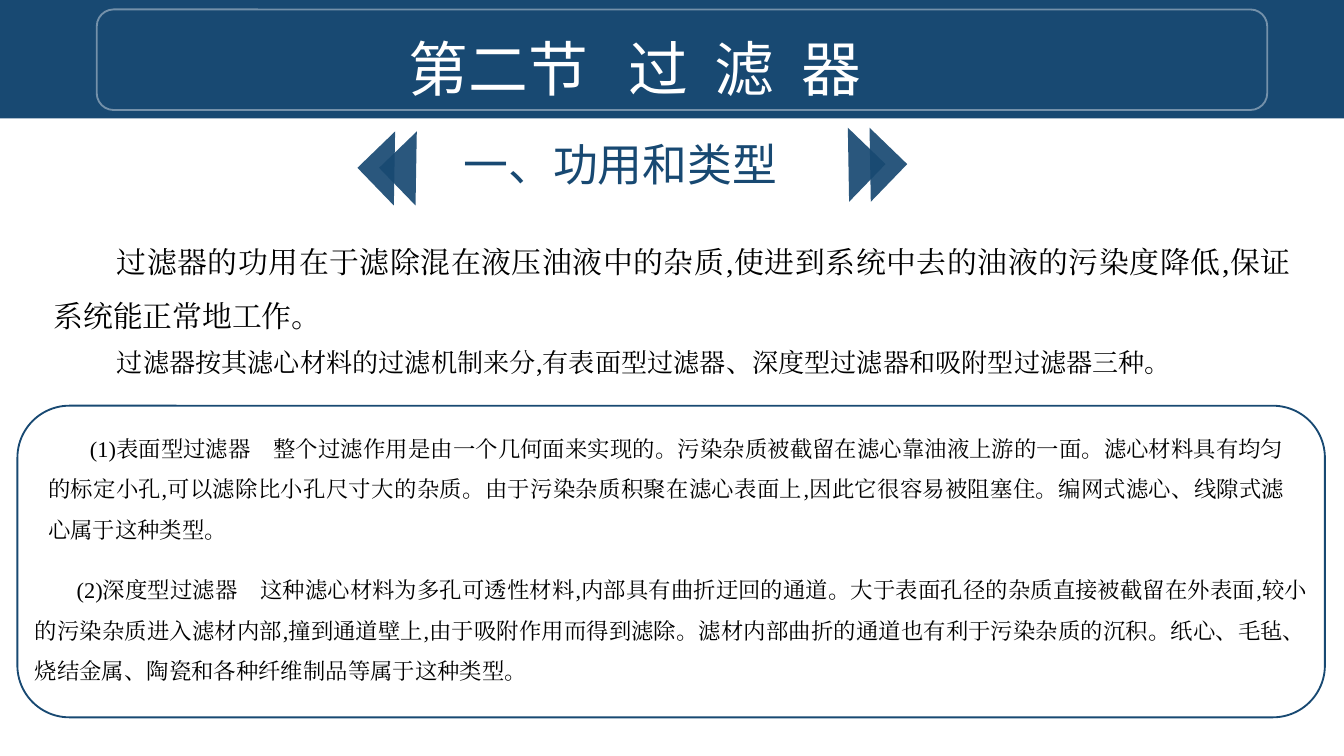
from dataclasses import dataclass

from lxml import etree
from pptx import Presentation
from pptx.dml.color import RGBColor as Rgb
from pptx.enum import shapes as es, text as et
from pptx.oxml import ns
from pptx.util import Cm, Pt

KIND = es.MSO_SHAPE
ALIGN = et.PP_ALIGN


@dataclass(frozen=True)
class Theme:
    """Colours, fonts and type sizes of the slide."""
    navy: Rgb = Rgb(0x18, 0x49, 0x72)
    white: Rgb = Rgb(0xFF, 0xFF, 0xFF)
    black: Rgb = Rgb(0, 0, 0)
    sans: str = "Noto Sans CJK SC"
    serif: str = "Times New Roman"
    title: int = 32
    head: int = 24
    lead: int = 16
    note: int = 14
    small: int = 12


THEME = Theme()


def place(item, box):
    """Move an item to a box given in centimetres."""
    item.left, item.top, item.width, item.height = map(Cm, box)


def fade(color, share):
    """Give a solid colour an opacity in percent."""
    tag = color._xFill[0]
    etree.SubElement(tag, ns.qn("a:alpha"), val=str(share * 1000))


def draw(slide, kind, box, fill=None, line=None):
    """Add a plain preset shape."""
    item = slide.shapes.add_shape(kind, *map(Cm, box))
    item.shadow.inherit = False
    if fill is None:
        item.fill.background()
    else:
        item.fill.solid()
        item.fill.fore_color.rgb = fill
    if line is None:
        item.line.fill.background()
    else:
        item.line.color.rgb = line
        item.line.width = Pt(1)
    return item


def write(item, words, size, face, color, align, indent=0, space=None, wrap=True):
    """Fill a text item with one formatted paragraph."""
    frame = item.text_frame
    frame.text = words
    frame.word_wrap = wrap
    frame.auto_size = et.MSO_AUTO_SIZE.NONE
    frame.vertical_anchor = et.MSO_ANCHOR.TOP
    para = frame.paragraphs[0]
    props = para._p.get_or_add_pPr()
    props.set("marL", "0")
    props.set("indent", str(Cm(indent)))
    etree.SubElement(props, ns.qn("a:buNone"))
    para.alignment = align
    para.space_before = Pt(0)
    para.line_spacing = space
    font = para.font
    font.size, font.name, font.color.rgb = Pt(size), face, color
    font._rPr.set("lang", "zh-CN")
    etree.SubElement(font._rPr, ns.qn("a:ea"), typeface=face)


def label(item, words, size, color):
    """Write a centred heading without vertical insets."""
    write(item, words, size, THEME.sans, color, ALIGN.CENTER)
    frame = item.text_frame
    frame.margin_top = frame.margin_bottom = 0
    frame.vertical_anchor = et.MSO_ANCHOR.MIDDLE


def note(slide, box, words, size, **style):
    """Add a text box in the serif face."""
    item = slide.shapes.add_textbox(*map(Cm, box))
    write(item, words, size, THEME.serif, THEME.black, **style)


def banner(slide, box, words):
    """Draw the title band with its rounded frame."""
    x, y, w, h = box
    draw(slide, KIND.RECTANGLE, box, fill=THEME.navy)
    rim = draw(slide, KIND.ROUNDED_RECTANGLE,
               (x + 1.83, y + 0.18, w - 3.28, h - 0.34), line=THEME.white)
    fade(rim.line.color, 40)
    title = slide.shapes.title
    title.element.getparent().append(title.element)
    place(title, (x + 1.4, y + 0.46, w - 4.19, h - 0.61))
    label(title, words, THEME.title, THEME.white)


def arrows(slide, x, y, turn, flips):
    """Draw a pair of overlapping triangles."""
    for step in range(2):
        item = draw(slide, KIND.RIGHT_TRIANGLE,
                    (x + step * 0.41, y, 0.99, 0.99), fill=THEME.navy)
        fade(item.fill.fore_color, 92)
        item.rotation = turn
        for flip in flips:
            item.element.spPr.xfrm.set(flip, "1")


def heading(slide, box, words):
    """Place the section heading between its arrows."""
    x, y, w, h = box
    item = slide.shapes.add_textbox(*map(Cm, box))
    label(item, words, THEME.head, THEME.navy)
    arrows(slide, x + 2.41, y + 0.23, 316, ["flipV"])
    arrows(slide, x + w - 3.36, y + 0.16, 44, ["flipH", "flipV"])


def intro(slide, box, lead, kinds):
    """Place the opening paragraph and the line on filter kinds."""
    x, y, w, h = box
    body = slide.placeholders[1]
    body.element.getparent().append(body.element)
    place(body, (x, y, w, 2.18))
    write(body, lead, THEME.lead, THEME.serif, THEME.black,
          ALIGN.JUSTIFY, indent=1.19, space=1.5)
    note(slide, (x + 0.64, y + h - 0.71, w - 2.72, 0.71), kinds, THEME.note,
         align=ALIGN.LEFT, indent=0.56, space=Pt(12), wrap=False)


def panel(slide, box, first, second):
    """Place two descriptions inside a rounded outline."""
    x, y, w, h = box
    style = dict(align=ALIGN.JUSTIFY, indent=0.79, space=1.5)
    note(slide, (x + 0.33, y + 0.18, w - 0.83, 2.49), first, THEME.small, **style)
    note(slide, (x + 0.08, y + 2.85, w - 0.17, 2.57), second, THEME.small, **style)
    draw(slide, KIND.ROUNDED_RECTANGLE, box, line=THEME.navy)


def main():
    """Build and save the slide."""
    deck = Presentation()
    deck.slide_width, deck.slide_height = Cm(25.4), Cm(14.29)
    slide = deck.slides.add_slide(deck.slide_layouts[1])
    banner(slide, (0, 0, 25.4, 2.24), "第二节   过  滤  器")
    heading(slide, (4.55, 2.46, 14.35, 1.27), "一、功用和类型")
    intro(slide, (0.76, 4.14, 23.88, 3.17),
          "过滤器的功用在于滤除混在液压油液中的杂质,使进到系统中去的油液的污染度降低,"
          "保证系统能正常地工作。",
          "过滤器按其滤心材料的过滤机制来分,有表面型过滤器、深度型过滤器和吸附型过滤器三种。")
    panel(slide, (0.33, 7.67, 24.71, 5.89),
          "(1)表面型过滤器　整个过滤作用是由一个几何面来实现的。"
          "污染杂质被截留在滤心靠油液上游的一面。滤心材料具有均匀的标定小孔,"
          "可以滤除比小孔尺寸大的杂质。由于污染杂质积聚在滤心表面上,"
          "因此它很容易被阻塞住。编网式滤心、线隙式滤心属于这种类型。",
          "(2)深度型过滤器　这种滤心材料为多孔可透性材料,内部具有曲折迂回的通道。"
          "大于表面孔径的杂质直接被截留在外表面,较小的污染杂质进入滤材内部,"
          "撞到通道壁上,由于吸附作用而得到滤除。滤材内部曲折的通道也有利于污染杂质的沉积。"
          "纸心、毛毡、烧结金属、陶瓷和各种纤维制品等属于这种类型。")
    deck.save("out.pptx")


if __name__ == "__main__":
    main()
